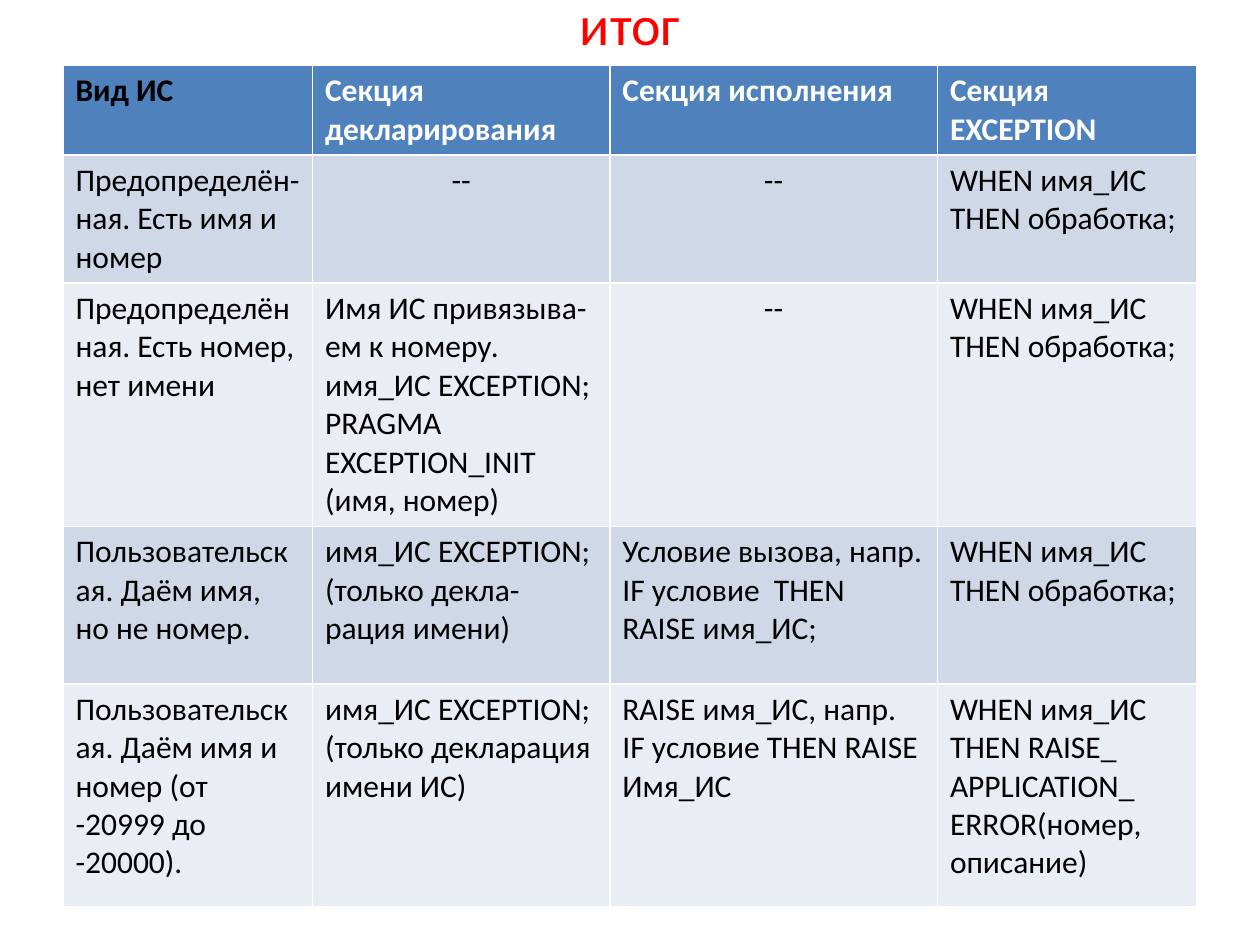
from pptx import Presentation
from pptx.dml.color import RGBColor
from pptx.enum.text import MSO_ANCHOR, MSO_AUTO_SIZE, PP_ALIGN
from pptx.util import Inches, Pt

CENTER, LEFT = PP_ALIGN.CENTER, PP_ALIGN.LEFT
MIDDLE = MSO_ANCHOR.MIDDLE
NO_AUTOFIT = MSO_AUTO_SIZE.NONE

RED = RGBColor(0xFF, 0x00, 0x00)
BLACK = RGBColor(0x00, 0x00, 0x00)
WHITE = RGBColor(0xFF, 0xFF, 0xFF)
HEADER_BLUE = RGBColor(0x4F, 0x81, 0xBD)
BAND_DARK = RGBColor(0xD0, 0xD8, 0xE8)
BAND_LIGHT = RGBColor(0xE9, 0xED, 0xF4)

FONT = "Calibri"
TITLE_ONLY = 5
SLIDE_WIDTH, SLIDE_HEIGHT = 10, 7.5
MARGIN = 0.05 * SLIDE_WIDTH
CONTENT_WIDTH = SLIDE_WIDTH - 2 * MARGIN
TITLE_HEIGHT = 0.36
TABLE_TOP = 0.52
COLUMN_WIDTHS = [1.98, 2.36, 2.6, 2.06]
ROW_HEIGHTS = [0.67, 0.96, 1.92, 1.25, 1.77]

NONE_MARK = "--"
HANDLER = "WHEN имя_ИС THEN обработка;"
DECLARATION = "имя_ИС EXCEPTION;"
ROWS = [
    ["Вид ИС", "Секция декларирования", "Секция исполнения", "Секция EXCEPTION"],
    ["Предопределён-ная. Есть имя и номер", NONE_MARK, NONE_MARK, HANDLER],
    [
        "Предопределённая. Есть номер, нет имени",
        f"Имя ИС привязыва-ем к номеру.\n{DECLARATION}\nPRAGMA EXCEPTION_INIT\n(имя, номер)",
        NONE_MARK,
        HANDLER,
    ],
    [
        "Пользовательская. Даём имя, но не номер.",
        f"{DECLARATION}\n(только декла-рация имени)",
        "Условие вызова, напр.\nIF условие  THEN RAISE имя_ИС;",
        HANDLER,
    ],
    [
        "Пользовательская. Даём имя и  номер (от -20999 до -20000).",
        f"{DECLARATION}\n(только декларация имени ИС)",
        "RAISE имя_ИС, напр.\nIF условие THEN RAISE\nИмя_ИС",
        "WHEN имя_ИС THEN RAISE_\nAPPLICATION_\nERROR(номер,\nописание)",
    ],
]


def format_paragraph(paragraph, size, color, bold=False, alignment=LEFT):
    paragraph.alignment = alignment
    font = paragraph.font
    font.name, font.size, font.bold = FONT, Pt(size), bold
    font.color.rgb = color


def set_title(slide, text):
    title = slide.shapes.title
    title.left, title.top = Inches(MARGIN), Inches(0)
    title.width, title.height = Inches(CONTENT_WIDTH), Inches(TITLE_HEIGHT)
    frame = title.text_frame
    frame.text = text
    frame.auto_size = NO_AUTOFIT
    frame.vertical_anchor = MIDDLE
    format_paragraph(frame.paragraphs[0], 32, RED, alignment=CENTER)


def fill_cell(cell, text, fill, color, bold):
    cell.fill.solid()
    cell.fill.fore_color.rgb = fill
    cell.text = text
    alignment = CENTER if text == NONE_MARK else LEFT
    for paragraph in cell.text_frame.paragraphs:
        format_paragraph(paragraph, 18, color, bold, alignment)


def add_summary_table(slide):
    frame = slide.shapes.add_table(
        len(ROWS), len(COLUMN_WIDTHS), Inches(MARGIN), Inches(TABLE_TOP),
        Inches(CONTENT_WIDTH), Inches(sum(ROW_HEIGHTS)),
    )
    table = frame.table
    for column, width in zip(table.columns, COLUMN_WIDTHS):
        column.width = Inches(width)
    for row_index, (texts, height) in enumerate(zip(ROWS, ROW_HEIGHTS)):
        table.rows[row_index].height = Inches(height)
        is_header = row_index == 0
        band = BAND_DARK if row_index % 2 else BAND_LIGHT
        fill = HEADER_BLUE if is_header else band
        for column_index, text in enumerate(texts):
            color = WHITE if is_header and column_index else BLACK
            fill_cell(table.cell(row_index, column_index), text, fill, color, is_header)


def main():
    presentation = Presentation()
    presentation.slide_width = Inches(SLIDE_WIDTH)
    presentation.slide_height = Inches(SLIDE_HEIGHT)
    slide = presentation.slides.add_slide(presentation.slide_layouts[TITLE_ONLY])
    set_title(slide, "итог")
    add_summary_table(slide)
    presentation.save("out.pptx")


if __name__ == "__main__":
    main()
